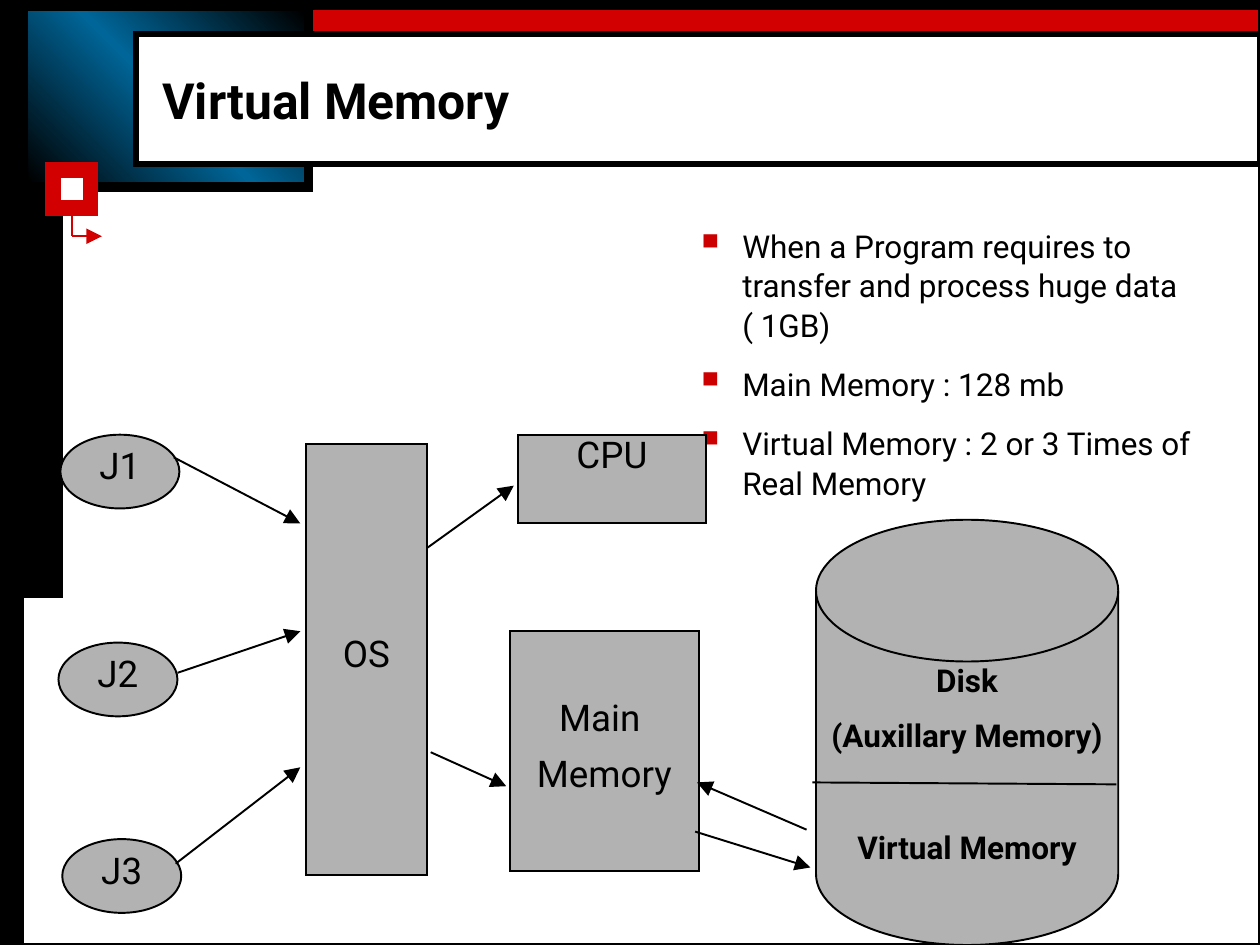
from copy import deepcopy

from lxml import etree
from pptx import Presentation
from pptx.dml.color import RGBColor
from pptx.enum.shapes import MSO_CONNECTOR, MSO_SHAPE
from pptx.enum.text import MSO_ANCHOR, PP_ALIGN
from pptx.oxml.ns import qn
from pptx.util import Inches, Pt

RECT = MSO_SHAPE.RECTANGLE
OVAL = MSO_SHAPE.OVAL
DISK = MSO_SHAPE.FLOWCHART_MAGNETIC_DISK
STRAIGHT = MSO_CONNECTOR.STRAIGHT
TOP, MIDDLE = MSO_ANCHOR.TOP, MSO_ANCHOR.MIDDLE
CENTER = PP_ALIGN.CENTER
BLACK, WHITE, RED, BLUE, GRAY = "000000", "FFFFFF", "D20000", "006699", "B2B2B2"
BULLET_RED = "CC0000"


def color(value):
    return RGBColor.from_string(value)


class Canvas:
    font = "Roboto"

    def __init__(self, slide):
        self.slide = slide

    def shape(self, kind, box, fill=None, line=BLACK, width=0.75):
        shape = self.slide.shapes.add_shape(kind, *map(Inches, box))
        shape.shadow.inherit = False
        if fill:
            shape.fill.solid()
            shape.fill.fore_color.rgb = color(fill)
        else:
            shape.fill.background()
        if line:
            shape.line.color.rgb = color(line)
            shape.line.width = Pt(width)
            outline = shape.line._get_or_add_ln()
            etree.SubElement(outline, qn("a:miter"), lim="800000")
        else:
            shape.line.fill.background()
        return shape

    def gradient(self, box, colors, angle):
        panel = self.shape(RECT, box, line=None)
        panel.fill.gradient()
        panel.fill.gradient_angle = angle
        stops = panel._element.spPr.find(".//" + qn("a:gsLst"))
        while len(stops) < len(colors):
            stops.append(deepcopy(stops[0]))
        for index, stop in enumerate(panel.fill.gradient_stops):
            stop.color.rgb = color(colors[index])
            stop.position = index / (len(colors) - 1)

    def frame(self, shape, anchor, wrap, top=0.03):
        frame = shape.text_frame
        frame.word_wrap = wrap
        frame.vertical_anchor = anchor
        frame.margin_left = frame.margin_right = Inches(0.07)
        frame.margin_top, frame.margin_bottom = Inches(top), Inches(0.03)
        return frame

    def paragraphs(self, frame, lines, size, spacing, before=0, after=0, bold=False):
        frame.text = "\n".join(lines)
        for index, paragraph in enumerate(frame.paragraphs):
            paragraph.line_spacing = spacing
            paragraph.space_before = Pt(before if index else 0)
            paragraph.space_after = Pt(after)
            paragraph.font.name = self.font
            paragraph.font.size = Pt(size)
            paragraph.font.bold = bold
            paragraph.font.color.rgb = color(BLACK)
        return frame.paragraphs

    def text(self, box, anchor, lines, *style, **options):
        holder = self.slide.shapes.add_textbox(*map(Inches, box))
        return self.paragraphs(self.frame(holder, anchor, True), lines, *style, **options)

    def bullets(self, box, lines):
        for paragraph in self.text(box, TOP, lines, 12, 1.05, 5.2, 2.2):
            props = paragraph._p.get_or_add_pPr()
            props.set("marL", str(Inches(0.25)))
            props.set("indent", str(Inches(-0.25)))
            tint = etree.Element(qn("a:buClr"))
            etree.SubElement(tint, qn("a:srgbClr"), val=BULLET_RED)
            scale = etree.Element(qn("a:buSzPct"), val="130000")
            mark = etree.Element(qn("a:buChar"), char="▪")
            defaults = props.find(qn("a:defRPr"))
            for part in (tint, scale, mark):
                defaults.addprevious(part)

    def node(self, kind, box, lines, size=14, after=2.6, bold=False, anchor=MIDDLE, top=0.03):
        frame = self.frame(self.shape(kind, box, GRAY), anchor, False, top)
        labels = self.paragraphs(frame, lines, size, Pt(12), 7, after, bold)
        for paragraph in labels:
            paragraph.alignment = CENTER
        return labels

    def line(self, start, end, stroke=BLACK, arrow=True):
        connector = self.slide.shapes.add_connector(STRAIGHT, *map(Inches, start + end))
        connector.line.color.rgb = color(stroke)
        connector.line.width = Pt(0.75)
        if arrow:
            etree.SubElement(connector.line._get_or_add_ln(), qn("a:tailEnd"), type="triangle")
        etree.SubElement(connector._element.spPr, qn("a:effectLst"))


def main():
    deck = Presentation()
    deck.slide_width, deck.slide_height = Inches(6.67), Inches(5)
    canvas = Canvas(deck.slides.add_slide(deck.slide_layouts[6]))

    canvas.shape(RECT, (1.65, 0, 5.02, 0.17), RED)
    for band in ((0, 0, 6.67, 0.05), (0, 0, 1.65, 1.01),
                 (0, 0.48, 0.33, 2.68), (0, 2.32, 0.12, 2.68)):
        canvas.shape(RECT, band, BLACK)
    canvas.gradient((0.15, 0.06, 1.46, 0.9), (BLACK, BLUE, BLACK), 45)
    canvas.shape(RECT, (0.72, 0.18, 5.95, 0.69), WHITE, width=2.25)
    canvas.shape(RECT, (0.28, 0.9, 0.2, 0.2), WHITE, RED, 6)
    canvas.line((0.38, 1.11), (0.38, 1.25), RED, arrow=False)
    canvas.line((0.38, 1.25), (0.54, 1.25), RED)
    canvas.shape(RECT, (0, 0, 6.67, 5), width=1.25)

    canvas.text((0.79, 0.29, 5.77, 0.51), MIDDLE, ["Virtual Memory"], 19, 0.9, bold=True)
    canvas.bullets((3.61, 1.16, 3.06, 3), [
        "When a Program requires to transfer and process huge data ( 1GB)",
        "Main Memory : 128 mb",
        "Virtual Memory : 2 or 3 Times of Real Memory",
    ])

    canvas.node(RECT, (2.74, 2.3, 1, 0.47), ["CPU"], anchor=TOP, top=0.05)
    canvas.node(RECT, (2.7, 3.34, 1, 1.27), ["Main ", "Memory"])
    for job, left, top in (("J1", 0.32, 2.3), ("J2", 0.31, 3.4), ("J3", 0.33, 4.44)):
        canvas.node(OVAL, (left, top, 0.63, 0.39), [job])
    canvas.node(RECT, (1.62, 2.35, 0.64, 2.28), ["OS"])
    disk_labels = canvas.node(DISK, (4.32, 2.75, 1.6, 2.25),
                              ["Disk", "(Auxillary Memory)", "Virtual Memory"],
                              12, 2.2, bold=True, anchor=TOP)
    disk_labels[-1].space_before = Pt(28.2)
    canvas.line((4.3, 4.14), (5.91, 4.15), arrow=False)

    for start, end in (
        ((0.92, 2.42), (1.59, 2.77)),
        ((0.94, 3.56), (1.59, 3.34)),
        ((0.93, 4.57), (1.59, 4.06)),
        ((2.26, 2.9), (2.72, 2.57)),
        ((2.28, 3.98), (2.68, 4.16)),
        ((4.27, 4.39), (3.69, 4.14)),
        ((3.68, 4.4), (4.29, 4.59)),
    ):
        canvas.line(start, end)

    deck.save("out.pptx")


if __name__ == "__main__":
    main()
